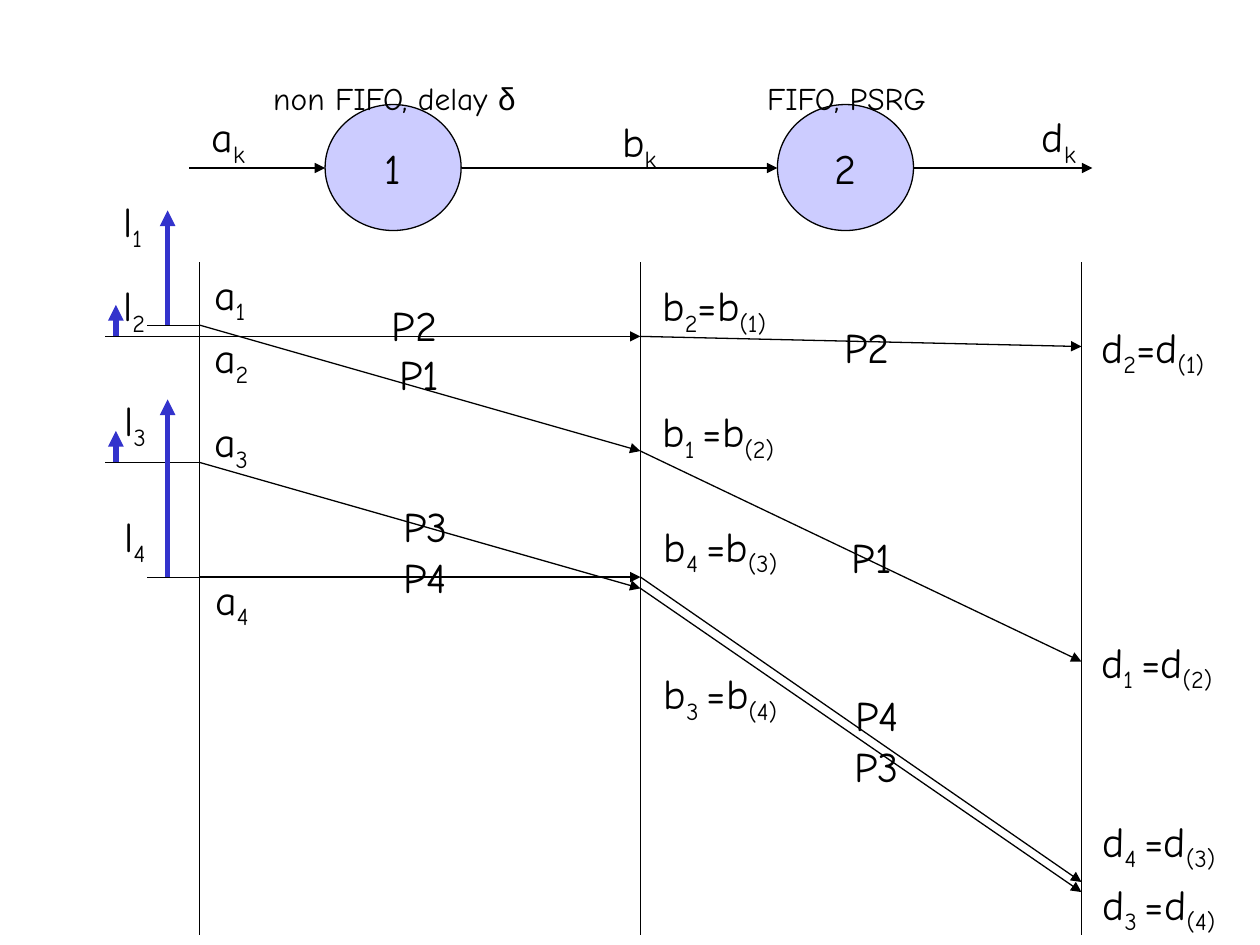
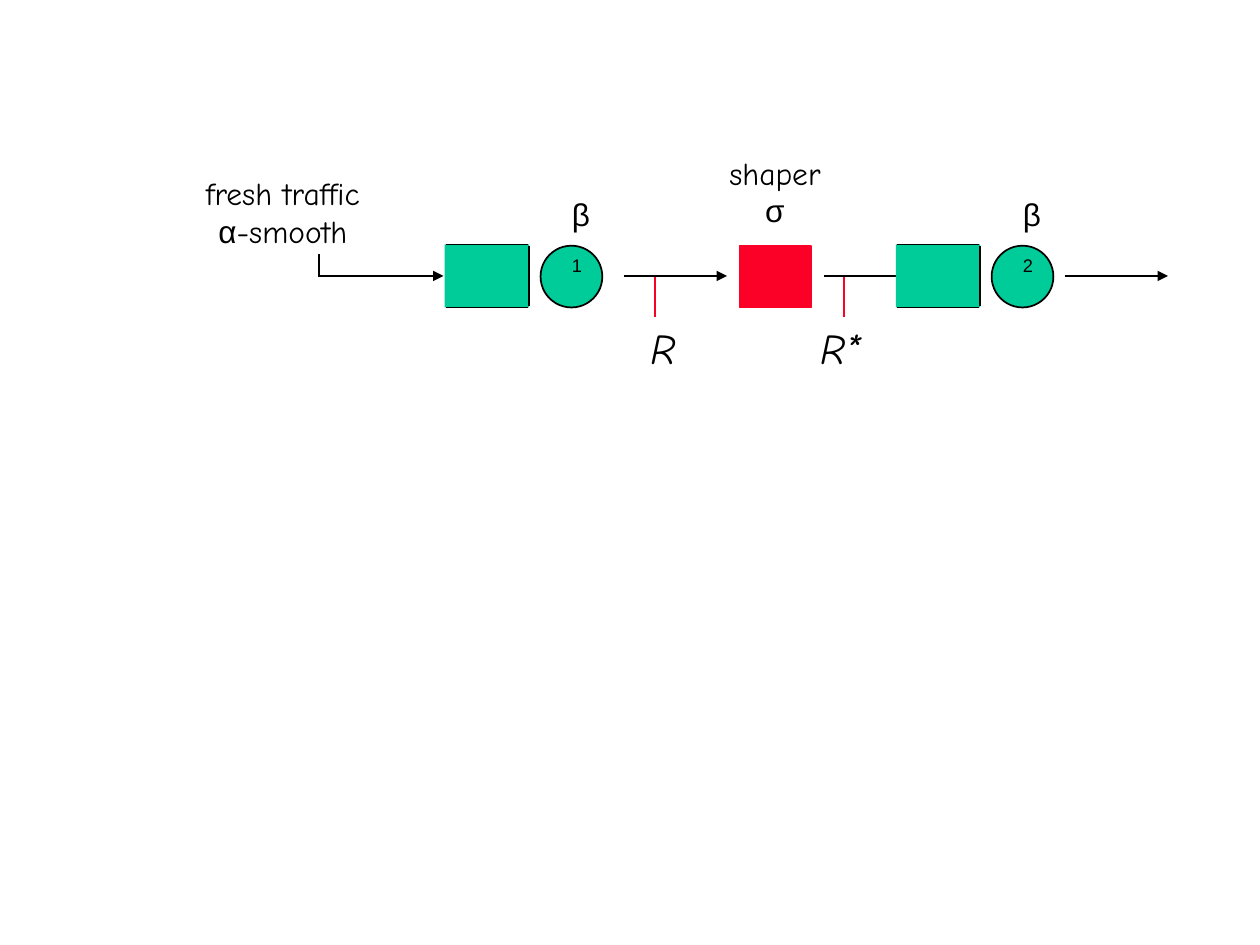
from dataclasses import dataclass
from typing import NamedTuple, Optional

from lxml.etree import SubElement
from pptx import Presentation
from pptx.dml.color import RGBColor
from pptx.enum.shapes import MSO_CONNECTOR as Connector, MSO_SHAPE as Preset
from pptx.enum.text import MSO_ANCHOR as Anchor, MSO_AUTO_SIZE as AutoSize, PP_ALIGN as Align
from pptx.oxml.ns import qn
from pptx.util import Inches, Pt

BLACK = RGBColor(0x00, 0x00, 0x00)
BLUE = RGBColor(0x33, 0x33, 0xCC)
LAVENDER = RGBColor(0xCC, 0xCC, 0xFF)
GREEN = RGBColor(0x00, 0xCC, 0x99)
RED = RGBColor(0xFC, 0x01, 0x28)

HAND_FONT = "Comic Neue"
GREEK_FONT = "Arial"

ARRIVAL_X, MIDDLE_X, DEPARTURE_X = 19 / 12, 61 / 12, 103 / 12
NODE_WIDTH, NODE_HEIGHT = 1.08, 1
FLOW_Y = 4 / 3
STATION_Y = 2.19


class Point(NamedTuple):
    x: float
    y: float


class Box(NamedTuple):
    left: float
    top: float
    width: float
    height: float


class Piece(NamedTuple):
    text: str
    font: str = HAND_FONT
    subscript: bool = False
    italic: bool = False


@dataclass(frozen=True)
class Packet:
    number: int
    rank: int
    gap: str
    arrival_y: float
    middle_y: float
    departure_y: float
    lag_x: float
    lag_top: float
    tick_x: float
    lag_label: Point
    arrival_label: Point
    middle_label: Point
    departure_label: Point
    first_hop_label: Point
    second_hop_label: Point


PACKETS = [
    Packet(1, 2, " ", 2.58, 3.58, 5.25, 1.33, 1.67, 1.17,
           Point(0.88, 1.5), Point(1.6, 2.08), Point(5.16, 3.17), Point(8.64, 5),
           Point(3.07, 2.72), Point(6.66, 4.17)),
    Packet(2, 1, "", 2.67, 2.67, 2.75, 0.92, 2.42, 0.83,
           Point(0.88, 2.17), Point(1.6, 2.58), Point(5.16, 2.17), Point(8.64, 2.5),
           Point(3.01, 2.33), Point(6.6, 2.5)),
    Packet(3, 4, " ", 3.67, 4.67, 7.08, 0.92, 3.42, 0.83,
           Point(0.89, 3.08), Point(1.6, 3.25), Point(5.17, 5.25), Point(8.65, 6.92),
           Point(3.1, 3.92), Point(6.68, 5.83)),
    Packet(4, 3, " ", 4.58, 4.58, 7, 1.33, 3.17, 1.17,
           Point(0.89, 4), Point(1.61, 4.5), Point(5.17, 4.08), Point(8.65, 6.42),
           Point(3.1, 4.33), Point(6.69, 5.42)),
]


def draw_line(slide, start: Point, end: Point, color: RGBColor = BLACK,
              width: float = 0.75, arrow: bool = False) -> None:
    connector = slide.shapes.add_connector(
        Connector.STRAIGHT, *(Inches(value) for value in (*start, *end)))
    connector.line.color.rgb = color
    connector.line.width = Pt(width)
    if arrow:
        SubElement(connector.line._get_or_add_ln(), qn("a:tailEnd"), type="triangle")
    SubElement(connector._element.spPr, qn("a:effectLst"))


def add_pieces(paragraph, pieces: list[Piece], size: float) -> None:
    for piece in pieces:
        run = paragraph.add_run()
        run.text = piece.text
        run.font.name = piece.font
        run.font.size = Pt(size)
        run.font.color.rgb = BLACK
        if piece.italic:
            run.font.italic = True
        if piece.subscript:
            run.font._element.set("baseline", "-25000")


def draw_text(slide, box: Box, lines: list[list[Piece]], size: float = 24,
              align: Align = Align.LEFT) -> None:
    frame = slide.shapes.add_textbox(*(Inches(value) for value in box)).text_frame
    frame.word_wrap = True
    frame.auto_size = AutoSize.SHAPE_TO_FIT_TEXT
    for index, pieces in enumerate(lines):
        paragraph = frame.add_paragraph() if index else frame.paragraphs[0]
        paragraph.alignment = align
        add_pieces(paragraph, pieces, size)


def draw_shape(slide, preset: Preset, box: Box, fill: RGBColor,
               line: Optional[RGBColor] = BLACK, width: float = 1, text: str = "") -> None:
    shape = slide.shapes.add_shape(preset, *(Inches(value) for value in box))
    shape.shadow.inherit = False
    shape.fill.solid()
    shape.fill.fore_color.rgb = fill
    if line is None:
        shape.line.fill.background()
    else:
        shape.line.color.rgb = line
        shape.line.width = Pt(width)
    if text:
        frame = shape.text_frame
        frame.word_wrap = False
        frame.vertical_anchor = Anchor.MIDDLE
        frame.paragraphs[0].alignment = Align.CENTER
        add_pieces(frame.paragraphs[0], [Piece(text)], 24)


def draw_symbol(slide, place: Point, width: float, *texts: str) -> None:
    pieces = [Piece(text, subscript=index % 2 == 1) for index, text in enumerate(texts)]
    draw_text(slide, Box(*place, width, 0.56), [pieces])


def draw_packet(slide, packet: Packet) -> None:
    arrival = Point(ARRIVAL_X, packet.arrival_y)
    middle = Point(MIDDLE_X, packet.middle_y)
    departure = Point(DEPARTURE_X, packet.departure_y)
    draw_line(slide, arrival, middle, arrow=True)
    draw_line(slide, middle, departure, arrow=True)
    draw_line(slide, Point(packet.lag_x, packet.arrival_y),
              Point(packet.lag_x, packet.lag_top), BLUE, 3, arrow=True)
    draw_line(slide, arrival, Point(packet.tick_x, packet.arrival_y), width=0.25)

    for place in (packet.first_hop_label, packet.second_hop_label):
        draw_text(slide, Box(*place, 0.65, 0.5), [[Piece(f"P{packet.number}")]])
    draw_symbol(slide, packet.lag_label, 0.45, "l", str(packet.number))
    draw_symbol(slide, packet.arrival_label, 0.55, "a", str(packet.number))
    for letter, place in (("b", packet.middle_label), ("d", packet.departure_label)):
        draw_symbol(slide, place, 1.2, letter, f"{packet.number}{packet.gap}",
                    f"={letter}", f"({packet.rank})")


def build_packet_slide(slide) -> None:
    for x in (ARRIVAL_X, MIDDLE_X, DEPARTURE_X):
        draw_line(slide, Point(x, 2.08), Point(x, 7.42))
    for packet in PACKETS:
        draw_packet(slide, packet)

    for text, left in (("1", 2.58), ("2", 6.17)):
        draw_shape(slide, Preset.OVAL, Box(left, 0.83, NODE_WIDTH, NODE_HEIGHT),
                   LAVENDER, width=0.75, text=text)
    for start, end in ((1.5, 2.58), (3.67, 6.17), (7.25, 8.67)):
        draw_line(slide, Point(start, FLOW_Y), Point(end, FLOW_Y), arrow=True)

    draw_text(slide, Box(2.07, 0.58, 2.3, 0.4),
              [[Piece("non FIFO, delay "), Piece("δ", GREEK_FONT)]], 18)
    draw_text(slide, Box(5.99, 0.58, 1.6, 0.4), [[Piece("FIFO, PSRG")]], 18)
    for letter, place in (("a", Point(1.58, 0.83)), ("b", Point(4.84, 0.87)),
                          ("d", Point(8.17, 0.83))):
        draw_symbol(slide, place, 0.55, letter, "k")


def draw_station(slide, left: float, number: str) -> None:
    top, bottom, right = 1.94, 2.44, left + 0.67
    draw_shape(slide, Preset.OVAL, Box(left + 0.76, 1.95, 0.49, 0.49), GREEN)
    draw_shape(slide, Preset.RECTANGLE, Box(left, top, 0.67, 0.5), GREEN, None)
    for y in (top, bottom):
        draw_line(slide, Point(left + 0.01, y), Point(right - 0.01, y), width=1)
    draw_line(slide, Point(right, top + 0.01), Point(right, bottom - 0.01), width=1)
    draw_text(slide, Box(left + 0.91, 1.5, 0.41, 0.44),
              [[Piece("β", GREEK_FONT), Piece(number, GREEK_FONT, subscript=True)]], 18)


def build_shaper_slide(slide) -> None:
    for start, end in ((2.54, 3.52), (4.95, 5.77), (6.54, 7.36), (8.45, 9.27)):
        draw_line(slide, Point(start, STATION_Y), Point(end, STATION_Y), width=1, arrow=True)
    draw_line(slide, Point(2.53, 2.2), Point(2.53, 2.02), width=1)
    for left, number in ((3.53, "1"), (7.11, "2")):
        draw_station(slide, left, number)
    draw_shape(slide, Preset.RECTANGLE, Box(5.87, 1.95, 0.57, 0.49), RED, RED)

    draw_text(slide, Box(1.48, 1.33, 1.53, 0.7),
              [[Piece("fresh traffic")], [Piece("α", GREEK_FONT), Piece("-smooth")]],
              18, Align.CENTER)
    draw_text(slide, Box(5.64, 1.17, 1.02, 0.7),
              [[Piece("shaper")], [Piece("σ", GREEK_FONT)]], 18, Align.CENTER)
    for text, box, x in (("R", Box(4.96, 2.51, 0.5, 0.5), 5.2),
                         ("R*", Box(6.31, 2.51, 0.62, 0.5), 6.7)):
        draw_text(slide, box, [[Piece(text, italic=True)]], align=Align.RIGHT)
        draw_line(slide, Point(x, 2.2), Point(x, 2.52), RED, 1)


def main() -> None:
    presentation = Presentation()
    presentation.slide_width = Inches(10)
    presentation.slide_height = Inches(7.5)
    for build in (build_packet_slide, build_shaper_slide):
        build(presentation.slides.add_slide(presentation.slide_layouts[6]))
    presentation.save("out.pptx")


if __name__ == "__main__":
    main()
